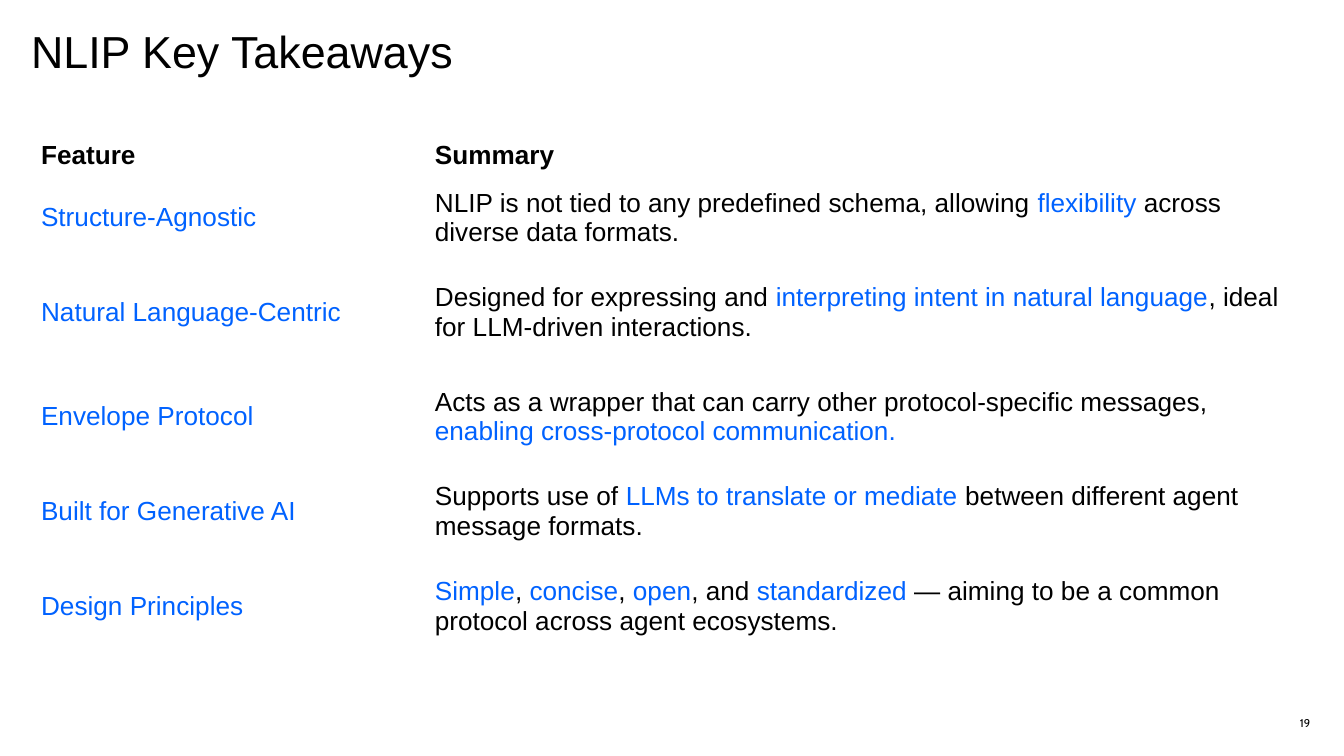
import pptx
import pptx.dml.color
import pptx.enum.text
import pptx.util
from dataclasses import dataclass

Pt = pptx.util.Pt
RGB = pptx.dml.color.RGBColor
ANCHOR = pptx.enum.text.MSO_ANCHOR
ALIGN = pptx.enum.text.PP_ALIGN


@dataclass(frozen=True)
class Theme:
    ink: RGB = RGB(0x00, 0x00, 0x00)
    accent: RGB = RGB(0x00, 0x62, 0xFF)
    font: str = "Arial"
    number_font: str = "Cabin"
    title_size: int = 24
    table_size: int = 14
    number_size: int = 6


theme = Theme()

# A bar switches between ink and accent colour
rows = [
    ("Feature", "Summary"),
    ("|Structure-Agnostic",
     "NLIP is not tied to any predefined schema, allowing |flexibility| across diverse data formats."),
    ("|Natural Language-Centric",
     "Designed for expressing and |interpreting intent in natural language|, ideal for LLM-driven interactions."),
    ("|Envelope Protocol",
     "Acts as a wrapper that can carry other protocol-specific messages, |enabling cross-protocol communication."),
    ("|Built for Generative AI",
     "Supports use of |LLMs to translate or mediate| between different agent message formats."),
    ("|Design Principles",
     "|Simple|, |concise|, |open|, and |standardized| — aiming to be a common protocol across agent ecosystems."),
]
column_widths = [211, 474.4]
row_heights = [15.3, 45.5, 56, 56, 45.5, 56]
left, table_top = 16.6, 72.7


def add_marked_text(paragraph, text, size, font=theme.font, bold=False):
    for position, part in enumerate(text.split("|")):
        if part:
            run = paragraph.add_run()
            run.text = part
            run.font.name = font
            run.font.size = Pt(size)
            run.font.bold = bold
            run.font.color.rgb = theme.accent if position % 2 else theme.ink


def prepare_frame(frame, anchor):
    frame.margin_left = frame.margin_right = frame.margin_top = frame.margin_bottom = 0
    frame.word_wrap = True
    frame.auto_size = pptx.enum.text.MSO_AUTO_SIZE.NONE
    frame.vertical_anchor = anchor
    return frame.paragraphs[0]


deck = pptx.Presentation()
deck.slide_width, deck.slide_height = Pt(720), Pt(405)
slide = deck.slides.add_slide(deck.slide_layouts[5])

# Title
title = slide.shapes.title
title.left, title.top, title.width, title.height = Pt(left), Pt(15.8), Pt(326), Pt(63.4)
heading = prepare_frame(title.text_frame, ANCHOR.TOP)
heading.alignment = ALIGN.LEFT
heading.line_spacing = 0.9
add_marked_text(heading, "NLIP Key Takeaways", theme.title_size)

# Takeaways table
takeaways = slide.shapes.add_table(
    len(rows), len(column_widths), Pt(left), Pt(table_top),
    Pt(sum(column_widths)), Pt(sum(row_heights))).table
takeaways.horz_banding = False
takeaways.first_row = False
for column, width in zip(takeaways.columns, column_widths):
    column.width = Pt(width)

for row_index, (texts, height) in enumerate(zip(rows, row_heights)):
    takeaways.rows[row_index].height = Pt(height)
    for column_index, text in enumerate(texts):
        cell = takeaways.cell(row_index, column_index)
        cell.fill.background()
        cell.vertical_anchor = ANCHOR.MIDDLE
        cell.margin_left = cell.margin_right = Pt(5.4)
        cell.margin_top = cell.margin_bottom = Pt(2.7)
        add_marked_text(cell.text_frame.paragraphs[0], text, theme.table_size, bold=row_index == 0)

# Slide number
page_box = slide.shapes.add_textbox(Pt(558), Pt(381), Pt(144), Pt(13))
page_number = prepare_frame(page_box.text_frame, ANCHOR.MIDDLE)
page_number.alignment = ALIGN.RIGHT
add_marked_text(page_number, "19", theme.number_size, theme.number_font)

deck.save("out.pptx")
